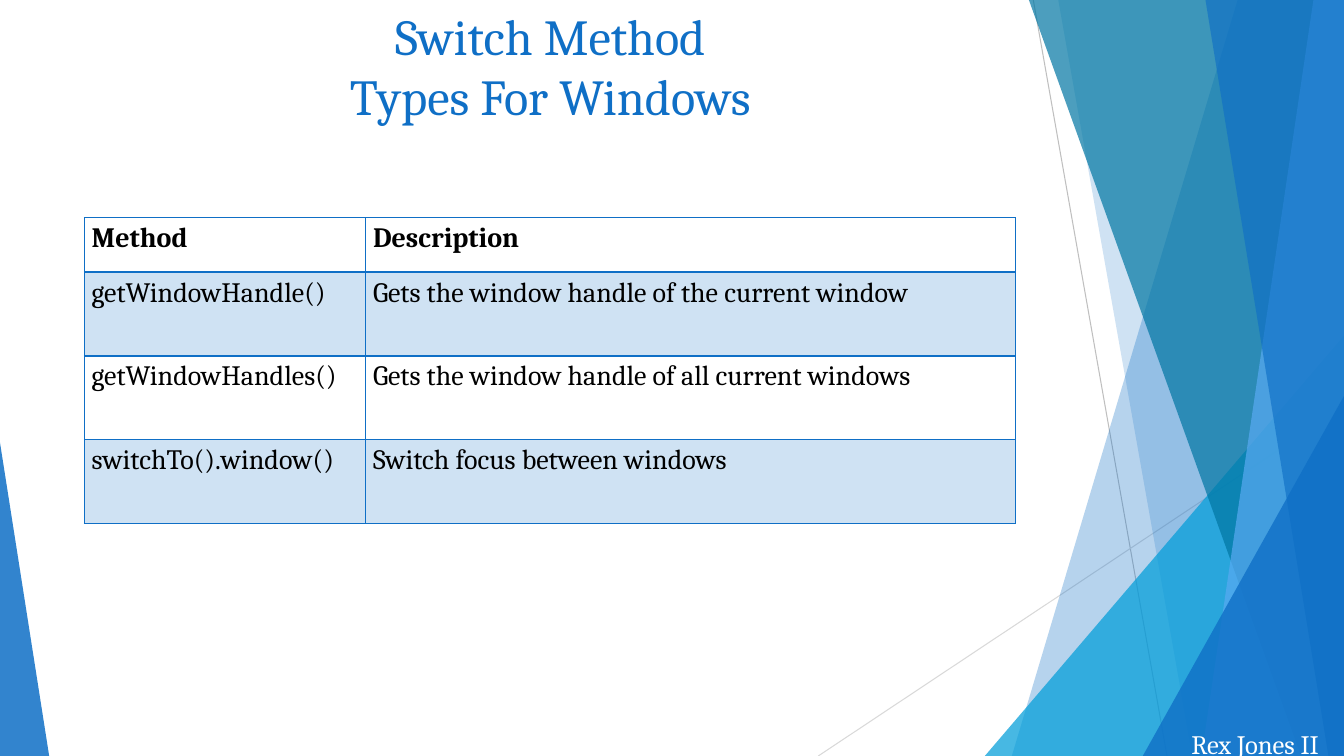
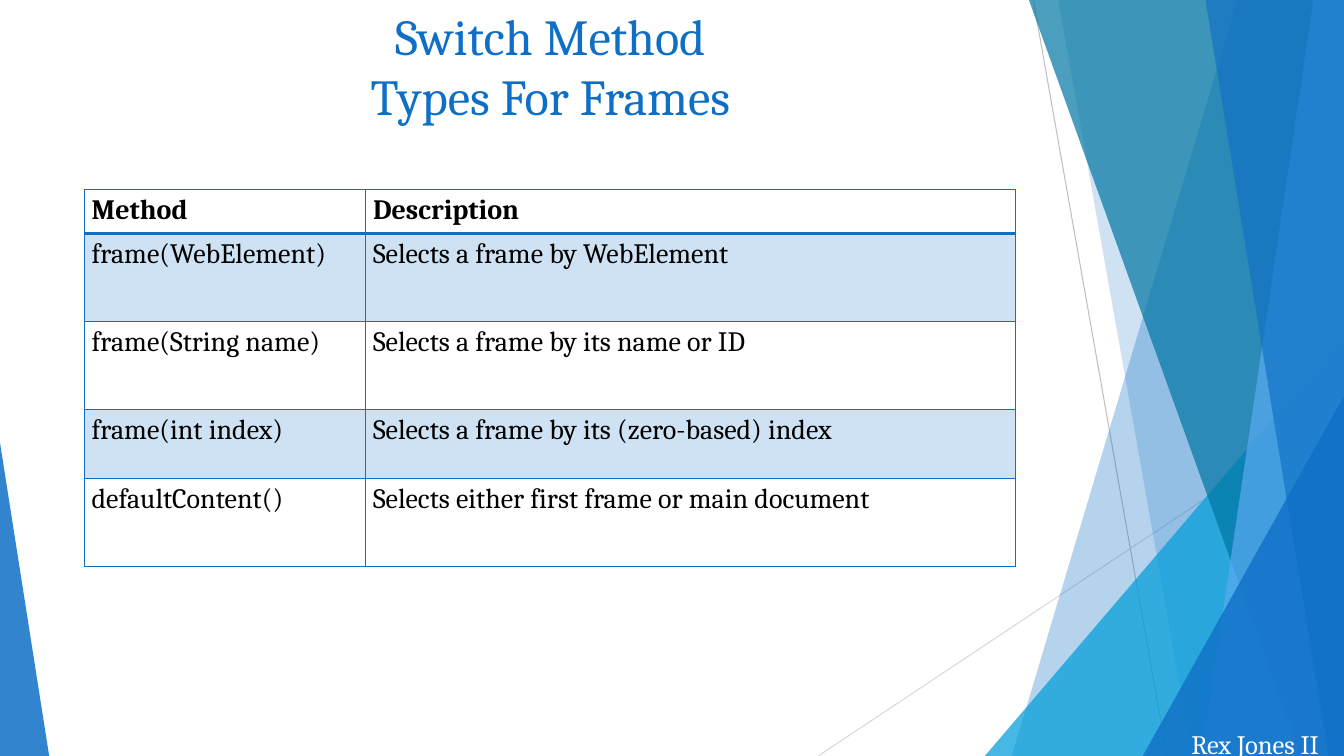
from dataclasses import dataclass

from lxml.etree import SubElement
from pptx import Presentation
from pptx.dml.color import RGBColor
from pptx.enum.shapes import MSO_CONNECTOR, MSO_SHAPE
from pptx.enum.text import MSO_ANCHOR, MSO_AUTO_SIZE, PP_ALIGN
from pptx.oxml.ns import qn
from pptx.util import Cm, Pt


@dataclass(frozen=True)
class Theme:
    """Colours, font, type sizes and slide measures."""
    blue: str = "0F6FC6"
    cyan: str = "009DD9"
    teal: str = "0076A3"
    sky: str = "59AAF2"
    grey: str = "BFBFBF"
    pale: str = "D9D9D9"
    ink: str = "000000"
    white: str = "FFFFFF"
    font: str = "Cambria"
    title: int = 36
    cell: int = 20
    credit: int = 19
    wide: float = 33.87
    high: float = 19.05


THEME = Theme()
HEAD = ("Method", "Description")
WINDOWS = [
    HEAD,
    ("getWindowHandle()", "Gets the window handle of the current window"),
    ("getWindowHandles()", "Gets the window handle of all current windows"),
    ("switchTo().window()", "Switch focus between windows"),
]
FRAMES = [
    HEAD,
    ("frame(WebElement)", "Selects a frame by WebElement"),
    ("frame(String name)", "Selects a frame by its name or ID"),
    ("frame(int index)", "Selects a frame by its (zero-based) index"),
    ("defaultContent()", "Selects either first frame or main document"),
]


def style(frame, size, color, align=PP_ALIGN.LEFT, bold=False):
    """Format every run of a text frame."""
    for para in frame.paragraphs:
        para.alignment = align
        for run in para.runs:
            run.font.name = THEME.font
            run.font.size = Pt(size)
            run.font.bold = bold
            run.font.color.rgb = RGBColor.from_string(color)


def tint(fill, element, color, alpha):
    """Give a shape or cell a see-through fill, alpha in percent."""
    fill.solid()
    fill.fore_color.rgb = RGBColor.from_string(color)
    tone = element.xpath("*/a:solidFill/a:srgbClr")[0]
    SubElement(tone, qn("a:alpha"), val=str(alpha * 1000))


def finish(shape, color, alpha):
    """Fill a shape and drop its outline and shadow."""
    tint(shape.fill, shape.element, color, alpha)
    shape.line.fill.background()
    shape.shadow.inherit = False
    return shape


def add_slab(shapes, top, base, color, alpha):
    """Draw a full-height slab from a slanted edge to the right side."""
    pen = shapes.build_freeform(Cm(top), 0)
    points = [(THEME.wide, 0), (THEME.wide, THEME.high), (base, THEME.high)]
    pen.add_line_segments([(Cm(x), Cm(y)) for x, y in points])
    return finish(pen.convert_to_shape(), color, alpha)


def add_wedge(shapes, left, top, width, peak, color, alpha):
    """Draw a triangle standing on the bottom edge."""
    shape = shapes.add_shape(MSO_SHAPE.ISOSCELES_TRIANGLE, Cm(left), Cm(top),
                             Cm(width), Cm(THEME.high - top))
    shape.adjustments[0] = peak
    return finish(shape, color, alpha)


def add_line(shapes, start, end, color):
    """Draw a thin straight line."""
    line = shapes.add_connector(MSO_CONNECTOR.STRAIGHT,
                                *(Cm(n) for n in start + end))
    line.line.color.rgb = RGBColor.from_string(color)
    line.line.width = Pt(0.75)
    SubElement(line.element.spPr, qn("a:effectLst"))
    return line


def add_credit(shapes):
    """Write the author in the bottom right corner."""
    box = shapes.add_textbox(Cm(29.51), Cm(18.21), Cm(4.24), Cm(1.07))
    frame = box.text_frame
    frame.text = "Rex Jones II"
    frame.word_wrap = False
    frame.auto_size = MSO_AUTO_SIZE.SHAPE_TO_FIT_TEXT
    style(frame, THEME.credit, THEME.white, PP_ALIGN.CENTER)
    return box


def add_art(slide):
    """Draw the shared decoration and move it to the slide's layout."""
    shapes, t = slide.shapes, THEME
    art = [
        add_line(shapes, (26.04, 0), (29.41, t.high), t.grey),
        add_line(shapes, (t.wide, 10.24), (20.62, t.high), t.pale),
        add_slab(shapes, 31.19, 25.5, t.blue, 30),
        add_slab(shapes, 26.67, 30.05, t.blue, 20),
        add_wedge(shapes, 24.82, 8.46, 9.05, 1, t.cyan, 72),
        add_slab(shapes, 25.93, 32.79, t.teal, 70),
        add_slab(shapes, 33.1, 30.28, t.sky, 70),
        add_slab(shapes, 30.38, 33.48, t.blue, 65),
        add_wedge(shapes, 28.8, 9.98, 5.07, 1, t.blue, 80),
        add_wedge(shapes, 0, 11.15, 1.24, 0, t.blue, 85),
        add_credit(shapes),
    ]
    tree = slide.slide_layout.shapes.element
    for index, shape in enumerate(art, 100):
        shape.element.xpath("./*/p:cNvPr")[0].set("id", str(index))
        tree.append(shape.element)


def set_title(slide, text):
    """Place and format the slide title."""
    title = slide.shapes.title
    title.left, title.top, title.width, title.height = (
        Cm(2.72), Cm(0), Cm(22.3), Cm(2.97))
    frame = title.text_frame
    frame.text = text
    frame.word_wrap = True
    frame.auto_size = MSO_AUTO_SIZE.NONE
    frame.vertical_anchor = MSO_ANCHOR.TOP
    style(frame, THEME.title, THEME.blue, PP_ALIGN.CENTER)


def set_edge(cell, side, width):
    """Draw one border of a cell."""
    props = cell._tc.get_or_add_tcPr()
    edge = SubElement(props, qn(f"a:ln{side}"), w=str(Pt(width)))
    SubElement(SubElement(edge, qn("a:solidFill")), qn("a:srgbClr"),
               val=THEME.blue)


def set_cell(cell, text, row):
    """Write and format one cell by its row."""
    cell.text = text
    cell.margin_left = cell.margin_right = Cm(0.18)
    cell.margin_top = cell.margin_bottom = 0
    para = cell.text_frame.paragraphs[0]
    para.line_spacing = 1.15
    para.space_after = Pt(10)
    style(cell.text_frame, THEME.cell, THEME.ink, bold=row == 0)
    thick = {"T": 1, "B": 0}
    for side in "LRTB":
        set_edge(cell, side, 2 if thick.get(side) == row else 1)
    if row % 2:
        tint(cell.fill, cell._tc, THEME.blue, 20)
    else:
        cell.fill.background()


def add_grid(slide, rows, top, heights):
    """Add the method table."""
    widths = (7.09, 16.38)
    grid = slide.shapes.add_table(len(rows), len(widths), Cm(2.13), Cm(top),
                                  Cm(sum(widths)), Cm(sum(heights))).table
    grid.first_row = grid.horz_banding = False
    for column, width in zip(grid.columns, widths):
        column.width = Cm(width)
    for row, (texts, height) in enumerate(zip(rows, heights)):
        grid.rows[row].height = Cm(height)
        for col, text in enumerate(texts):
            set_cell(grid.cell(row, col), text, row)


def main():
    """Build and save the deck."""
    deck = Presentation()
    deck.slide_width, deck.slide_height = Cm(THEME.wide), Cm(THEME.high)
    layout = deck.slide_layouts[5]
    pages = [
        ("Windows", WINDOWS, 5.49, (1.37, 2.11, 2.11, 2.11)),
        ("Frames", FRAMES, 4.78, (1.1, 2.22, 2.22, 1.74, 2.22)),
    ]
    for topic, rows, top, heights in pages:
        slide = deck.slides.add_slide(layout)
        set_title(slide, f"Switch Method\nTypes For {topic}")
        add_grid(slide, rows, top, heights)
    add_art(deck.slides[0])
    deck.save("out.pptx")


if __name__ == "__main__":
    main()
